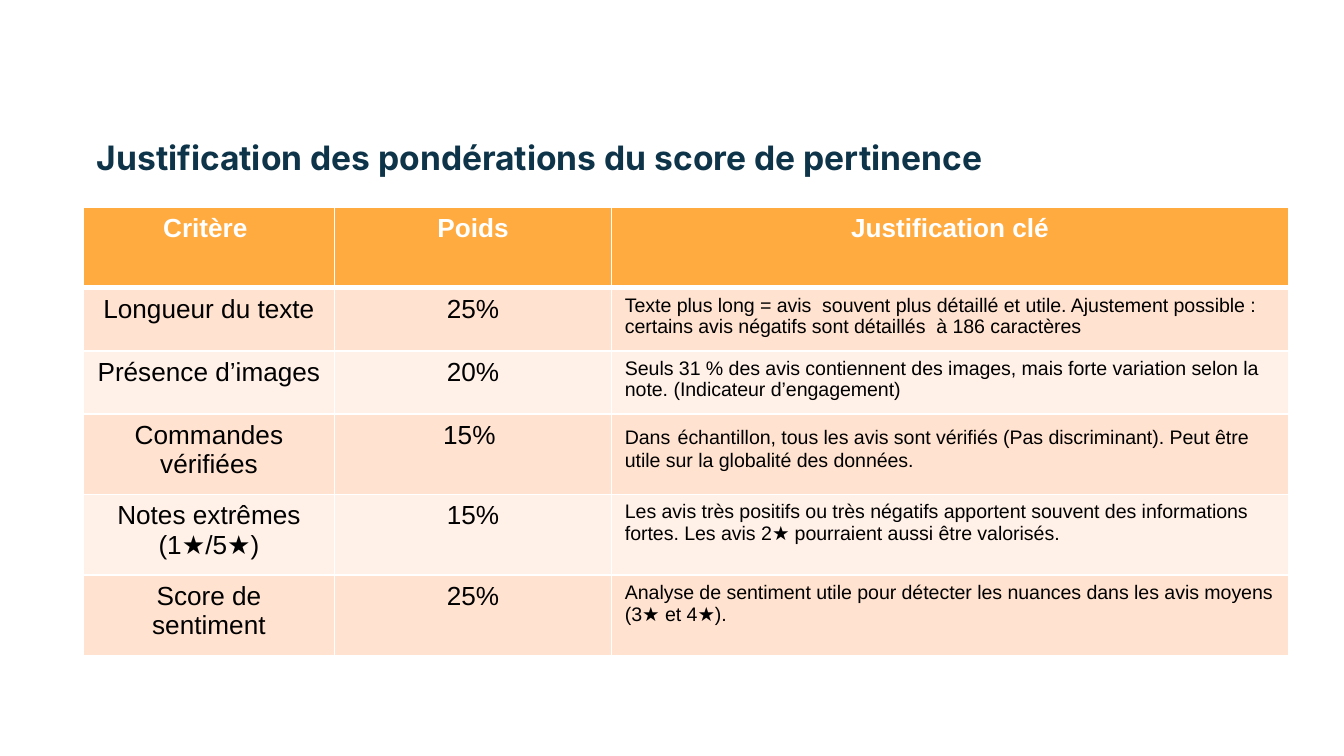
from dataclasses import dataclass

from lxml.etree import SubElement
from pptx import Presentation
from pptx.dml.color import RGBColor
from pptx.enum.text import MSO_ANCHOR as Anchor, PP_ALIGN as Align
from pptx.oxml.ns import qn
from pptx.util import Inches, Pt


@dataclass(frozen=True)
class Theme:
    title_font: str = "Inter"
    body_font: str = "Arial"
    title_size: float = 18
    label_size: float = 14
    reason_size: float = 10.5
    title: str = "0E3449"
    text: str = "000000"
    white: str = "FFFFFF"
    header: str = "FFAB40"
    bands: tuple[str, str] = ("FFE2CF", "FFF1E8")
    border: float = 1
    header_border: float = 3


@dataclass(frozen=True)
class Part:
    """A piece of text in one size."""
    text: str
    size: float


@dataclass(frozen=True)
class Criterion:
    name: str
    weight: str
    reason: tuple[Part, ...]


# Layout in inches, on a 16:9 slide
THEME = Theme()
SLIDE_WIDTH = Inches(10)
SLIDE_HEIGHT = SLIDE_WIDTH * 9 // 16
LEFT, TABLE_TOP = 0.62, 1.54
COLUMNS = (1.87, 2.06, 5.04)
SHORT, TALL = 0.47, 0.6
ROWS = (TALL, SHORT, SHORT, TALL, TALL, TALL)


def label(text: str) -> Part:
    return Part(text, THEME.label_size)


def reason(text: str) -> Part:
    return Part(text, THEME.reason_size)


# Table content
HEADINGS = ("Critère ", "Poids", "Justification clé")
CRITERIA = (
    Criterion("Longueur du texte", "25%", (reason(
        "Texte plus long = avis  souvent plus détaillé et utile. Ajustement possible : "
        "certains avis négatifs sont détaillés  à 186 caractères"),)),
    Criterion("Présence d’images", "20%", (reason(
        "Seuls 31 % des avis contiennent des images, mais forte variation selon la note. "
        "(Indicateur d’engagement)"),)),
    Criterion("Commandes vérifiées", "15% ", (reason("Dans"), label(" "), reason(
        "échantillon, tous les avis sont vérifiés (Pas discriminant). "
        "Peut être utile sur la globalité des données."))),
    Criterion("Notes extrêmes (1★/5★)", "15%", (reason(
        "Les avis très positifs ou très négatifs apportent souvent des informations fortes. "
        "Les avis 2★ pourraient aussi être valorisés."),)),
    Criterion("Score de sentiment", "25%", (reason(
        "Analyse de sentiment utile pour détecter les nuances dans les avis moyens "
        "(3★ et 4★)."),)),
)


def style_run(r, font: str, size: float, color: str, bold: bool) -> None:
    r.font.name, r.font.size, r.font.bold = font, Pt(size), bold
    r.font.color.rgb = RGBColor.from_string(color)


def draw_borders(cell, top: float, bottom: float) -> None:
    tc_pr = cell._tc.get_or_add_tcPr()
    widths = {"L": THEME.border, "R": THEME.border, "T": top, "B": bottom}
    for side, width in widths.items():
        ln = SubElement(tc_pr, qn(f"a:ln{side}"), w=str(Pt(width)))
        fill = SubElement(ln, qn("a:solidFill"))
        SubElement(fill, qn("a:srgbClr"), val=THEME.white)


def fill_cell(cell, parts: tuple[Part, ...], row: int, centred: bool) -> None:
    is_header = row == 0
    draw_borders(cell,
                 THEME.header_border if row == 1 else THEME.border,
                 THEME.header_border if is_header else THEME.border)
    cell.fill.solid()
    cell.fill.fore_color.rgb = RGBColor.from_string(
        THEME.header if is_header else THEME.bands[(row - 1) % 2])
    p = cell.text_frame.paragraphs[0]
    p.alignment = Align.CENTER if centred else Align.LEFT
    for part in parts:
        r = p.add_run()
        r.text = part.text
        style_run(r, THEME.body_font, part.size,
                  THEME.white if is_header else THEME.text, is_header)


def draw_title(slide, text: str) -> None:
    sp = slide.shapes.title
    sp.left, sp.top, sp.width, sp.height = map(Inches, (LEFT, 0.9, 7.24, 0.53))
    tf = sp.text_frame
    tf.margin_left = tf.margin_right = tf.margin_top = tf.margin_bottom = Inches(0.1)
    tf.vertical_anchor, tf.word_wrap = Anchor.MIDDLE, True
    tf.text = text
    p = tf.paragraphs[0]
    p.alignment = Align.LEFT
    style_run(p.runs[0], THEME.title_font, THEME.title_size, THEME.title, True)


def draw_table(slide) -> None:
    frame = slide.shapes.add_table(
        len(ROWS), len(COLUMNS), Inches(LEFT), Inches(TABLE_TOP),
        Inches(sum(COLUMNS)), Inches(sum(ROWS)))
    table = frame.table
    for column, width in zip(table.columns, COLUMNS):
        column.width = Inches(width)
    for row, height in zip(table.rows, ROWS):
        row.height = Inches(height)

    contents = [[(label(h),) for h in HEADINGS]]
    contents += [[(label(c.name),), (label(c.weight),), c.reason] for c in CRITERIA]
    for i, row in enumerate(contents):
        for j, parts in enumerate(row):
            fill_cell(table.cell(i, j), parts, i, centred=i == 0 or j < 2)


def main() -> None:
    prs = Presentation()
    prs.slide_width, prs.slide_height = SLIDE_WIDTH, SLIDE_HEIGHT
    slide = prs.slides.add_slide(prs.slide_layouts[5])  # title only
    draw_title(slide, "Justification des pondérations du score de pertinence")
    draw_table(slide)
    prs.save("out.pptx")


if __name__ == "__main__":
    main()
